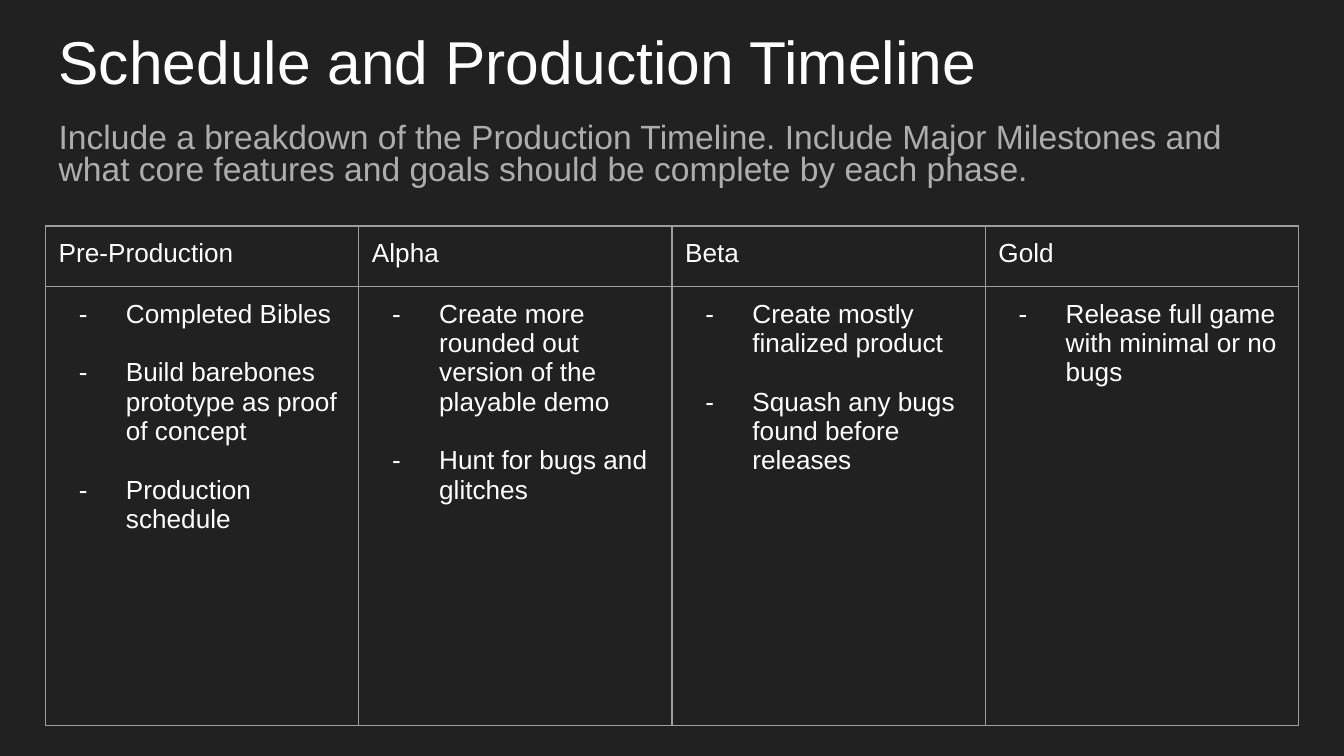
import pptx
import pptx.dml.color
import pptx.enum.text
import pptx.oxml.ns
import pptx.util
from lxml import etree

Cm = pptx.util.Cm
Pt = pptx.util.Pt
RGBColor = pptx.dml.color.RGBColor
MSO_ANCHOR = pptx.enum.text.MSO_ANCHOR

BACKGROUND = RGBColor(0x21, 0x21, 0x21)
WHITE = RGBColor(0xFF, 0xFF, 0xFF)
MUTED = RGBColor(0xAD, 0xAD, 0xAD)
BORDER = RGBColor(0x9E, 0x9E, 0x9E)
FONT = "Arial"
INSET = Cm(0.25)
HEADER_HEIGHT = Cm(1.14)

TITLE = "Schedule and Production Timeline"
SUBTITLE = (
    "Include a breakdown of the Production Timeline. Include Major Milestones "
    "and what core features and goals should be complete by each phase."
)
PHASES = {
    "Pre-Production": [
        "Completed Bibles",
        "Build barebones prototype as proof of concept",
        "Production schedule",
    ],
    "Alpha": [
        "Create more rounded out version of the playable demo",
        "Hunt for bugs and glitches",
    ],
    "Beta": [
        "Create mostly finalized product",
        "Squash any bugs found before releases",
    ],
    "Gold": ["Release full game with minimal or no bugs"],
}


def add_child(parent, tag, **attributes):
    """Append a DrawingML element to a parent and return it."""
    return etree.SubElement(parent, pptx.oxml.ns.qn(tag), attributes)


def format_paragraph(paragraph, size, color):
    """Set the font of every run in a paragraph."""
    for run in paragraph.runs:
        run.font.name = FONT
        run.font.size = Pt(size)
        run.font.color.rgb = color


def set_insets(holder):
    """Give a cell or text frame equal insets on all sides."""
    holder.margin_left = holder.margin_right = INSET
    holder.margin_top = holder.margin_bottom = INSET


def add_text(slide, box, text, size, color, anchor):
    """Add a wrapped text box and return its paragraph."""
    text_frame = slide.shapes.add_textbox(*box).text_frame
    text_frame.word_wrap = True
    text_frame.vertical_anchor = anchor
    set_insets(text_frame)
    text_frame.text = text
    paragraph = text_frame.paragraphs[0]
    format_paragraph(paragraph, size, color)
    return paragraph


def add_heading(slide, left, top, width, height):
    """Place the title above the subtitle within a box."""
    title_height = Cm(1.75)
    title_box = (left, top, width, title_height)
    add_text(slide, title_box, TITLE, 32.4, WHITE, MSO_ANCHOR.BOTTOM)
    subtitle_box = (left, top + title_height, width, height - title_height)
    subtitle = add_text(slide, subtitle_box, SUBTITLE, 18, MUTED, MSO_ANCHOR.TOP)
    subtitle.line_spacing = 0.8


def style_cell(cell):
    """Give a cell thin borders, insets and no fill."""
    set_insets(cell)
    properties = cell._tc.get_or_add_tcPr()
    for side in ("a:lnL", "a:lnR", "a:lnT", "a:lnB"):
        line = add_child(properties, side, w=str(Pt(0.75)))
        fill = add_child(line, "a:solidFill")
        add_child(fill, "a:srgbClr", val=str(BORDER))
    cell.fill.background()


def add_dash(paragraph):
    """Turn a paragraph into a dash list item with a hanging indent."""
    properties = paragraph._p.get_or_add_pPr()
    properties.set("marL", str(Cm(1.27)))
    properties.set("indent", str(Cm(-0.89)))
    color = add_child(properties, "a:buClr")
    add_child(color, "a:srgbClr", val=str(WHITE))
    add_child(properties, "a:buFont", typeface=FONT)
    add_child(properties, "a:buChar", char="-")


def fill_goals(cell, goals):
    """Write the goals of a phase as spaced dash items."""
    text_frame = cell.text_frame
    text_frame.text = "\n".join(goals)
    for index, paragraph in enumerate(text_frame.paragraphs):
        if index:
            paragraph.space_before = Pt(15.7)
        add_dash(paragraph)
        format_paragraph(paragraph, 14, WHITE)


def add_timeline(slide, left, top, width, height):
    """Place the table of production phases within a box."""
    frame = slide.shapes.add_table(2, len(PHASES), left, top, width, height)
    table = frame.table
    table.first_row = False
    table.horz_banding = False
    table.rows[0].height = HEADER_HEIGHT
    table.rows[1].height = height - HEADER_HEIGHT
    for column, (phase, goals) in enumerate(PHASES.items()):
        header = table.cell(0, column)
        header.text_frame.text = phase
        format_paragraph(header.text_frame.paragraphs[0], 14, WHITE)
        fill_goals(table.cell(1, column), goals)
    for cell in table.iter_cells():
        style_cell(cell)


def main():
    """Build and save the schedule slide."""
    presentation = pptx.Presentation()
    presentation.slide_width = Cm(25.4)
    presentation.slide_height = Cm(14.29)
    slide = presentation.slides.add_slide(presentation.slide_layouts[6])
    slide.background.fill.solid()
    slide.background.fill.fore_color.rgb = BACKGROUND
    left, width = Cm(0.86), Cm(23.68)
    add_heading(slide, left, Cm(0.33), width, Cm(3.4))
    add_timeline(slide, left, Cm(4.27), width, Cm(9.45))
    presentation.save("out.pptx")


if __name__ == "__main__":
    main()
